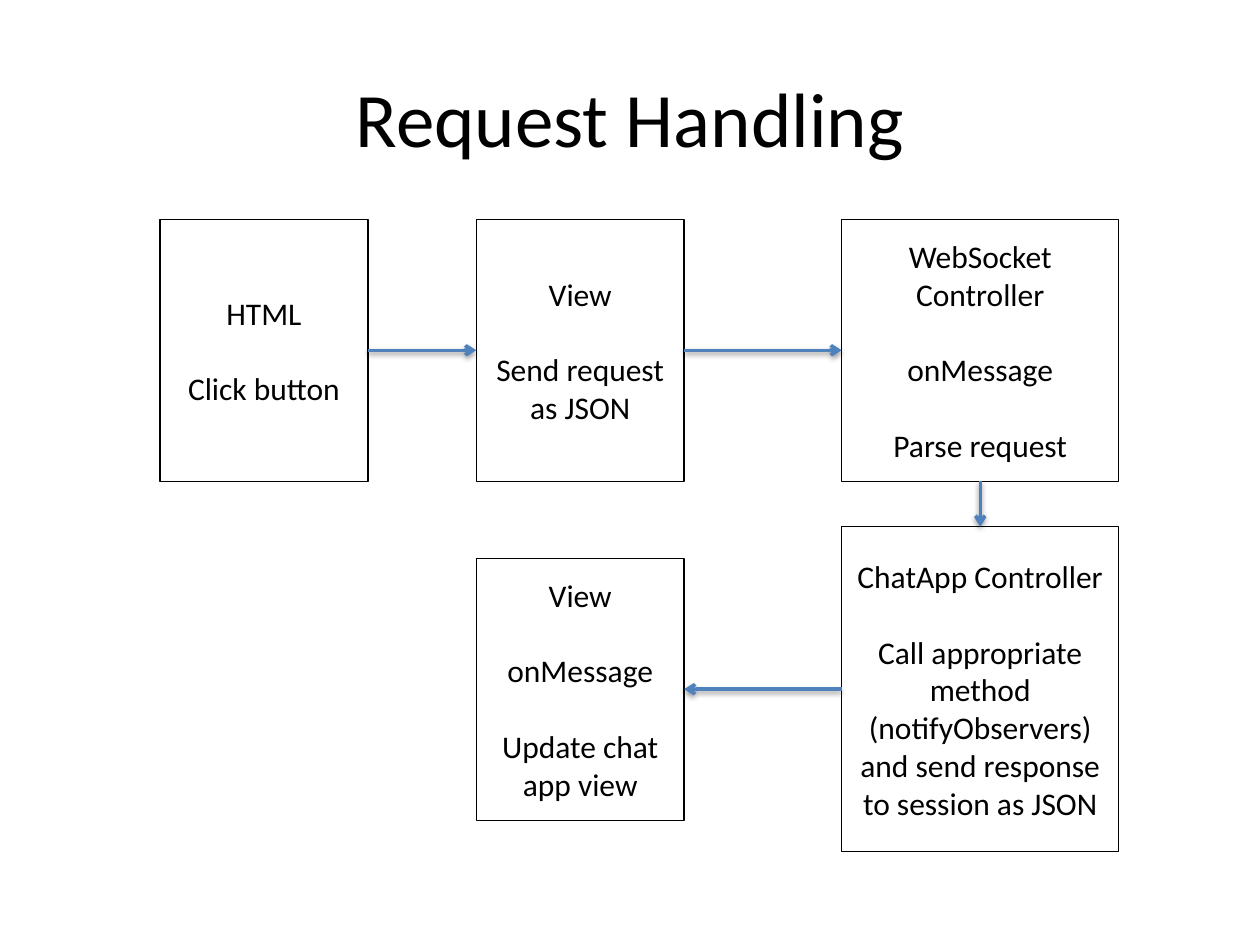
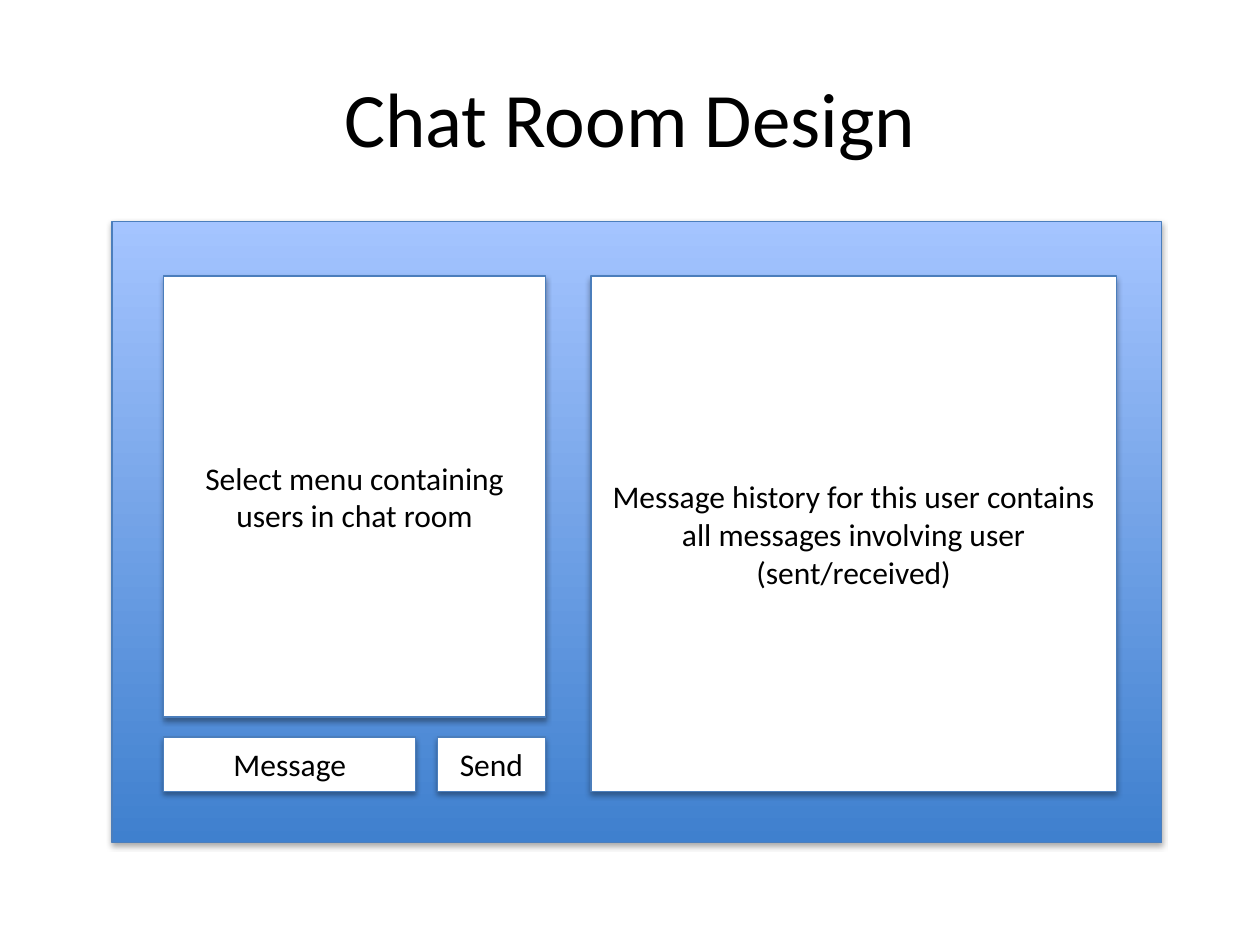
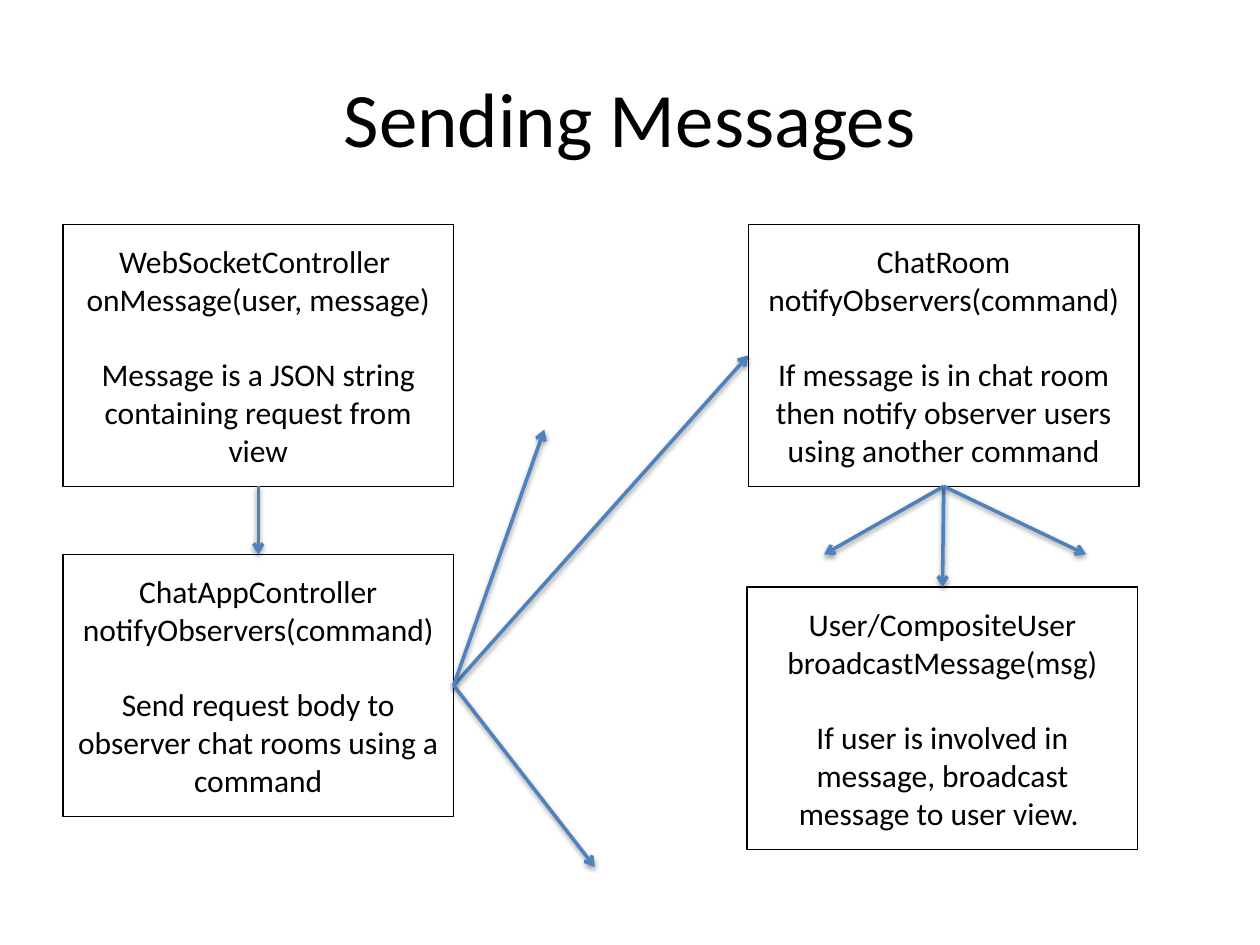
from lxml.etree import SubElement
from pptx import Presentation
from pptx.dml.color import RGBColor
from pptx.enum.shapes import MSO_CONNECTOR, MSO_SHAPE
from pptx.enum.text import MSO_ANCHOR, PP_ALIGN
from pptx.oxml.ns import qn
from pptx.util import Inches, Pt

# Shared look
FONT = "Calibri"
BLACK, WHITE = "000000", "FFFFFF"
BLUE, EDGE = "4F81BD", "4B7EBC"
DARK, LIGHT = "3F80CE", "A4C4FF"
LINE_GAP = 21.6  # one empty line of body text, in points

# The slide is a grid of 100 columns by 75 rows
COLS, ROWS = 100, 75
WIDE, HIGH = Inches(10), Inches(7.5)
TALL = 20.8  # rows of a normal flow box

# Connection sites of a rectangle
TOP, LEFT, BASE, RIGHT = range(4)


def tint(code):
    return RGBColor.from_string(code)


def across(cols):
    return round(WIDE * cols / COLS)


def down(rows):
    return round(HIGH * rows / ROWS)


def place(left, top, width, height):
    return across(left), down(top), across(width), down(height)


def write(frame, text, size=18, color=BLACK, align=PP_ALIGN.CENTER):
    """Fill a frame; a double line break opens a gap before the next line."""
    frame.word_wrap = True
    frame.vertical_anchor = MSO_ANCHOR.MIDDLE
    first = True
    for block in text.split("\n\n"):
        for row, line in enumerate(block.split("\n")):
            para = frame.paragraphs[0] if first else frame.add_paragraph()
            para.alignment = align
            para.space_before = Pt(0 if first or row else LINE_GAP)
            run = para.add_run()
            run.text = line
            run.font.name, run.font.size = FONT, Pt(size)
            run.font.color.rgb = tint(color)
            first = False


def shade(item, blur, dist, alpha):
    """Give a shape or connector a soft shadow straight below it."""
    props = item._element.spPr
    effects = props.find(qn("a:effectLst"))
    if effects is None:
        effects = SubElement(props, qn("a:effectLst"))
    cast = SubElement(effects, qn("a:outerShdw"), blurRad=str(Pt(blur)),
                      dist=str(Pt(dist)), dir="5400000", rotWithShape="0")
    color = SubElement(cast, qn("a:srgbClr"), val=BLACK)
    SubElement(color, qn("a:alpha"), val=str(alpha * 1000))


def add_box(slide, area, text="", edge=BLACK):
    box = slide.shapes.add_shape(MSO_SHAPE.RECTANGLE, *place(*area))
    box.shadow.inherit = False
    box.fill.solid()
    box.fill.fore_color.rgb = tint(WHITE)
    box.line.color.rgb = tint(edge)
    box.line.width = Pt(0.75)
    if text:
        write(box.text_frame, text)
    return box


def add_pane(slide, area, text=""):
    pane = add_box(slide, area, text, edge=EDGE)
    shade(pane, blur=3.1, dist=1.8, alpha=35)
    return pane


def add_arrow(slide, start, site, end, goal=None):
    """Link a box site to another box site, or to a free (column, row)."""
    spot = (0, 0) if goal is not None else (across(end[0]), down(end[1]))
    arrow = slide.shapes.add_connector(MSO_CONNECTOR.STRAIGHT, 0, 0, *spot)
    arrow.begin_connect(start, site)
    if goal is not None:
        arrow.end_connect(end, goal)
    arrow.line.color.rgb = tint(BLUE)
    arrow.line.width = Pt(2)
    SubElement(arrow._element.spPr.find(qn("a:ln")), qn("a:tailEnd"), type="arrow")
    shade(arrow, blur=3.1, dist=1.6, alpha=38)


def add_slide(deck, title):
    slide = deck.slides.add_slide(deck.slide_layouts[5])
    head = slide.shapes.title
    head.left, head.top, head.width, head.height = place(5, 3, 90, 12.5)
    write(head.text_frame, title, size=44)
    for holder in list(slide.placeholders):
        if not holder.text_frame.text:
            holder._element.getparent().remove(holder._element)
    return slide


def request_slide(deck):
    slide = add_slide(deck, "Request Handling")
    top, thin, broad = 17.4, 16.5, 22
    page = add_box(slide, (12.7, top, thin, TALL), "HTML\n\nClick button")
    view = add_box(slide, (37.8, top, thin, TALL), "View\n\nSend request as JSON")
    socket = add_box(slide, (66.8, top, broad, TALL),
                     "WebSocket Controller\n\nonMessage\n\nParse request")
    chat = add_box(slide, (66.8, 41.8, broad, 25.8),
                   "ChatApp Controller\n\nCall appropriate method (notifyObservers) "
                   "and send response to session as JSON")
    update = add_box(slide, (37.8, 44.3, thin, TALL),
                     "View\n\nonMessage\n\nUpdate chat app view")
    # Flow of one request
    add_arrow(slide, page, RIGHT, view, LEFT)
    add_arrow(slide, view, RIGHT, socket, LEFT)
    add_arrow(slide, socket, BASE, chat, TOP)
    add_arrow(slide, chat, LEFT, update, RIGHT)


def design_slide(deck):
    slide = add_slide(deck, "Chat Room Design")
    # Window
    room = add_pane(slide, (8.9, 17.6, 83.3, 49.3))
    room.fill.gradient()
    room.fill.gradient_angle = 90
    for stop, color in zip(room.fill.gradient_stops, (DARK, LIGHT)):
        stop.color.rgb = tint(color)
    # Panes and controls
    left, top, low, bar = 13, 21.9, 58.5, 4.3
    add_pane(slide, (left, top, 30.3, 35), "Select menu containing users in chat room")
    add_pane(slide, (46.9, top, 41.7, low + bar - top),
             "Message history for this user contains all messages "
             "involving user (sent/received)")
    add_pane(slide, (left, low, 20, bar), "Message")
    add_pane(slide, (34.7, low, 8.6, bar), "Send")


def message_slide(deck):
    slide = add_slide(deck, "Sending Messages")
    left, right, top, width = 5, 59.4, 17.8, 31
    socket = add_box(slide, (left, top, width, TALL),
                     "WebSocketController \nonMessage(user, message)\n\n"
                     "Message is a JSON string containing request from view")
    chat = add_box(slide, (left, 44, width, TALL),
                   "ChatAppController\nnotifyObservers(command)\n\n"
                   "Send request body to observer chat rooms using a command")
    room = add_box(slide, (right, top, width, TALL),
                   "ChatRoom\nnotifyObservers(command)\n\nIf message is in chat room "
                   "then notify observer users using another command")
    user = add_box(slide, (59.3, 46.6, width, TALL),
                   "User/CompositeUser\nbroadcastMessage(msg)\n\n"
                   "If user is involved in message, broadcast message to user view. ")
    # Links between boxes
    add_arrow(slide, socket, BASE, chat, TOP)
    add_arrow(slide, chat, RIGHT, room, LEFT)
    add_arrow(slide, room, BASE, user, TOP)
    # Links to other observers
    for spot in ((43.2, 34.1), (47.2, 68.8)):
        add_arrow(slide, chat, RIGHT, spot)
    for spot in ((65.4, 44), (86.2, 44)):
        add_arrow(slide, room, BASE, spot)


def main():
    deck = Presentation()
    deck.slide_width, deck.slide_height = WIDE, HIGH
    request_slide(deck)
    design_slide(deck)
    message_slide(deck)
    deck.save("out.pptx")


if __name__ == "__main__":
    main()
